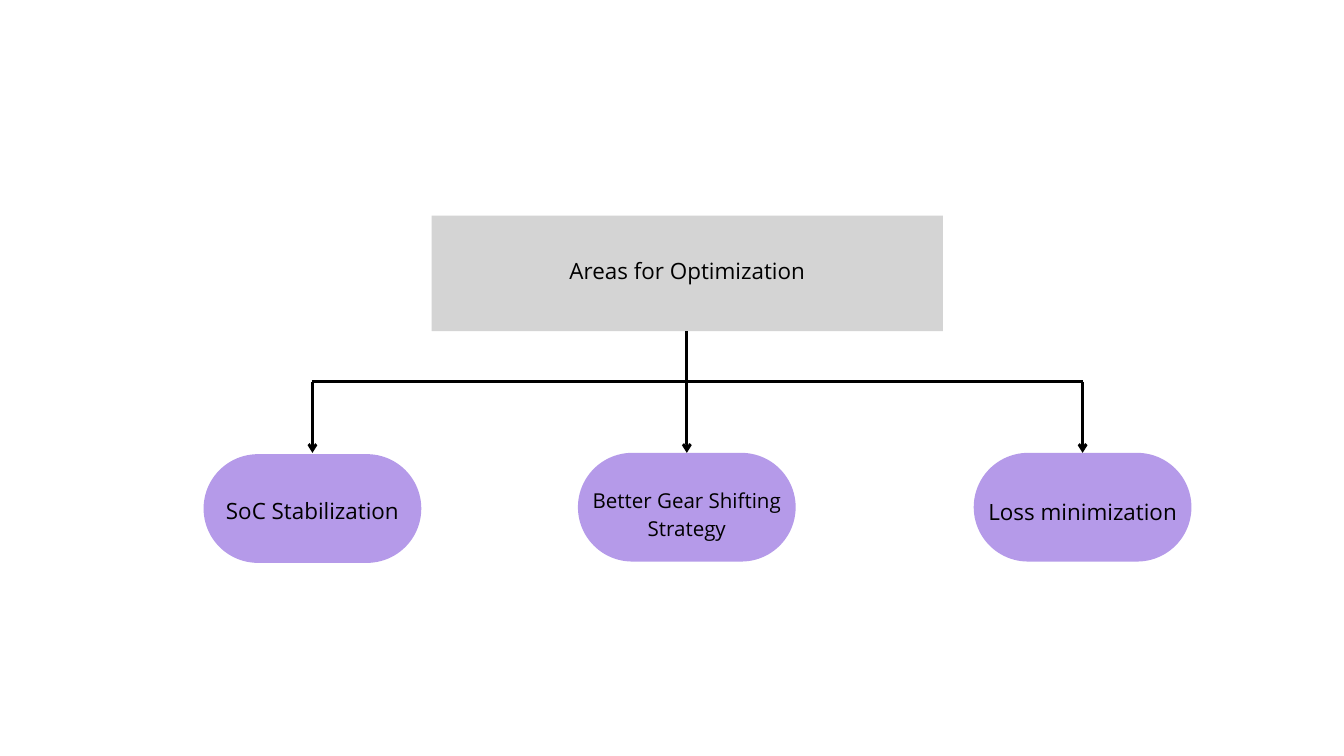
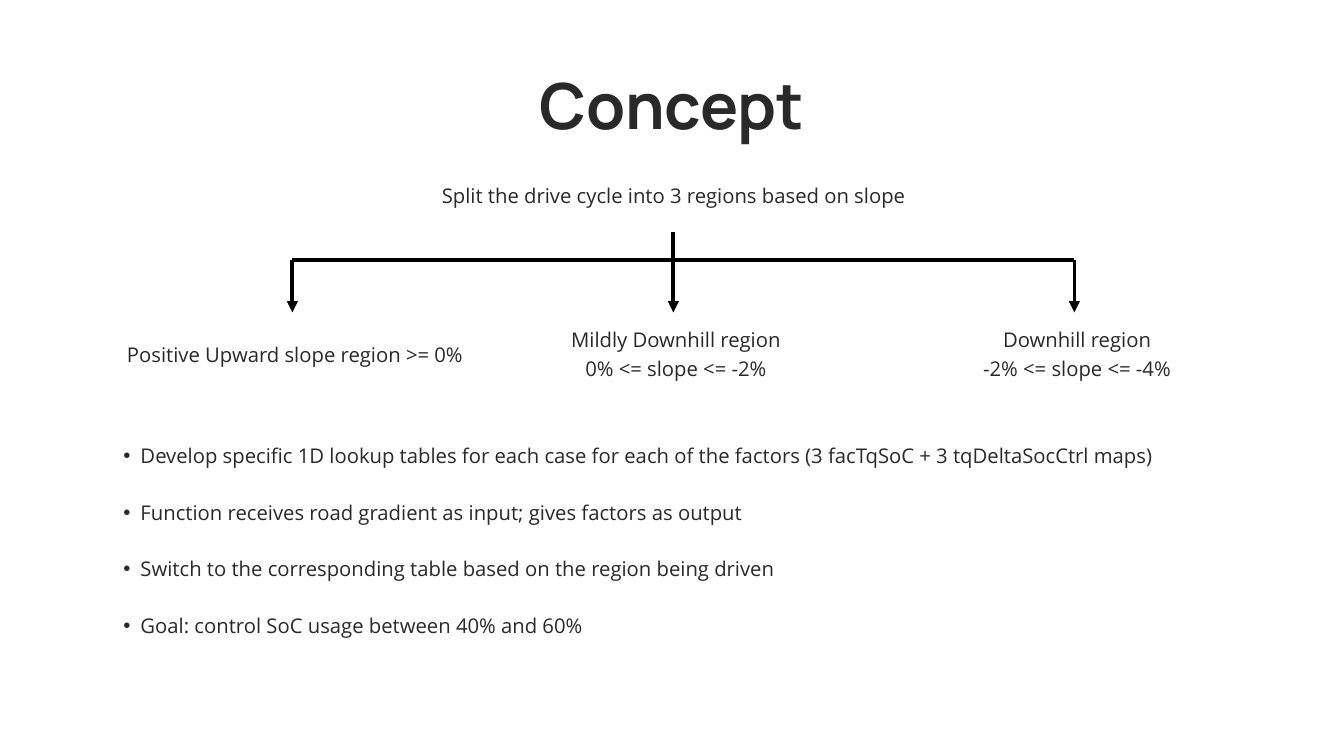
"""Builds two slides on optimization areas and the slope region concept."""
import pptx
import pptx.dml.color
import pptx.enum.shapes
import pptx.enum.text
import pptx.oxml
import pptx.oxml.ns
import pptx.util
from lxml import etree

Cm = pptx.util.Cm
Pt = pptx.util.Pt
ALIGN = pptx.enum.text.PP_ALIGN
ANCHOR = pptx.enum.text.MSO_ANCHOR

COLOURS = {
    "black": "000000",
    "ink": "292929",
    "grey": "D4D4D4",
    "purple": "B59AE9",
}
HEADING_FONT = "Manrope"
TEXT_FONT = "Open Sans"
TITLE_ONLY, TITLE_AND_CONTENT = 5, 1
PILL_WIDTH, PILL_HEIGHT = 8.23, 4.11
LABEL_WIDTH, LABEL_LINE = 13.4, 1.07


def colour(name):
    return pptx.dml.color.RGBColor.from_string(COLOURS[name])


def place(shape, left, top, width, height):
    shape.left, shape.top = Cm(left), Cm(top)
    shape.width, shape.height = Cm(width), Cm(height)


def fill_shape(shape, name):
    shape.fill.solid()
    shape.fill.fore_color.rgb = colour(name)
    shape.line.fill.background()


def write(shape, lines, size, leading, ink="ink", font=TEXT_FONT, bold=False,
          align=ALIGN.CENTER, anchor=ANCHOR.TOP, wrap=True, gap=0,
          margins=(0, 0, 0, 0), indent=None):
    frame = shape.text_frame
    frame.auto_size = pptx.enum.text.MSO_AUTO_SIZE.NONE
    frame.word_wrap = wrap
    frame.vertical_anchor = anchor
    (frame.margin_left, frame.margin_top,
     frame.margin_right, frame.margin_bottom) = map(Cm, margins)
    for number, line in enumerate(lines):
        para = frame.add_paragraph() if number else frame.paragraphs[0]
        para.text = line
        para.alignment = align
        para.line_spacing = Pt(leading)
        para.space_before = Pt(gap if number else 0)
        if indent:
            properties = para._p.get_or_add_pPr()
            properties.set("marL", str(Cm(indent)))
            properties.set("indent", str(-Cm(indent / 2)))
        para.font.name = font
        para.font.size = Pt(size)
        para.font.bold = bold
        para.font.color.rgb = colour(ink)


def add_label(slide, lines, left, top, width, height):
    box = slide.shapes.add_textbox(Cm(left), Cm(top), Cm(width), Cm(height))
    write(box, lines, 21.7, 30.3)


def add_pill(slide, text, centre, top, size, drop):
    pill = slide.shapes.add_shape(
        pptx.enum.shapes.MSO_SHAPE.ROUNDED_RECTANGLE,
        Cm(centre - PILL_WIDTH / 2), Cm(top), Cm(PILL_WIDTH), Cm(PILL_HEIGHT))
    pill.adjustments[0] = 0.5
    pill.shadow.inherit = False
    fill_shape(pill, "purple")
    write(pill, [text], size, size * 1.4, ink="black", anchor=ANCHOR.MIDDLE,
          wrap=False, margins=(0, drop, 0, 0))


def add_line(slide, start, end, weight, head=None):
    line = slide.shapes.add_connector(
        pptx.enum.shapes.MSO_CONNECTOR.STRAIGHT, *map(Cm, start + end))
    line.line.width = Pt(weight)
    line.line.color.rgb = colour("black")
    if head:
        tail = etree.SubElement(line.line._get_or_add_ln(),
                                pptx.oxml.ns.qn("a:tailEnd"))
        tail.set("type", head)
    etree.SubElement(line._element.spPr, pptx.oxml.ns.qn("a:effectLst"))


def add_branches(slide, columns, top, bar, tip, weight, head):
    trunk = columns[1]
    add_line(slide, (trunk, top), (trunk, bar), weight)
    for column in columns:
        if column != trunk:
            add_line(slide, (trunk, bar), (column, bar), weight)
        add_line(slide, (column, bar), (column, tip), weight, head)


def build_areas(deck):
    slide = deck.slides.add_slide(deck.slide_layouts[TITLE_ONLY])
    title = slide.shapes.title
    place(title, 16.31, 8.15, 19.33, 4.37)
    fill_shape(title, "grey")
    write(title, ["Areas for Optimization"], 24, 33.6, ink="black",
          anchor=ANCHOR.MIDDLE, margins=(0.15, 0.15, 0.15, 0.55))
    columns = (11.81, 25.96, 40.92)
    pills = (
        ("SoC Stabilization", 17.17, 24, 0),
        ("Better Gear Shifting\nStrategy", 17.12, 22, 0.38),
        ("Loss minimization", 17.12, 24, 0.13),
    )
    for centre, (text, top, size, drop) in zip(columns, pills):
        add_pill(slide, text, centre, top, size, drop)
    add_branches(slide, columns, 12.52, 14.43, 17.12, 3, "arrow")


def build_concept(deck):
    slide = deck.slides.add_slide(deck.slide_layouts[TITLE_AND_CONTENT])
    title, body = slide.shapes.title, slide.placeholders[1]
    place(title, 4.7, 2.97, 41.38, 2.51)
    write(title, ["Concept"], 68, 68, font=HEADING_FONT, bold=True)
    place(body, 4.01, 16.61, 42.75, 7.49)
    write(body, [
        "Develop specific 1D lookup tables for each case for each of the "
        "factors (3 facTqSoC + 3 tqDeltaSocCtrl maps)",
        "Function receives road gradient as input; gives factors as output",
        "Switch to the corresponding table based on the region being driven",
        "Goal: control SoC usage between 40% and 60%",
    ], 21.7, 30.3, align=ALIGN.JUSTIFY, gap=30.3, indent=1.3)
    add_label(slide, ["Split the drive cycle into 3 regions based on slope"],
              14.71, 6.76, 21.51, 2.03)
    columns = (11.05, 25.45, 40.61)
    regions = (
        ["Positive Upward slope region >= 0%"],
        ["Mildly Downhill region", "0% <= slope <= -2%"],
        ["Downhill region", "-2% <= slope <= -4%"],
    )
    for centre, lines in zip(columns, regions):
        height = LABEL_LINE * len(lines)
        add_label(slide, lines, centre + 0.1 - LABEL_WIDTH / 2,
                  13.31 - height / 2, LABEL_WIDTH, height)
    add_branches(slide, columns, 8.79, 9.83, 11.81, 4, "triangle")


def main():
    deck = pptx.Presentation()
    deck.slide_width, deck.slide_height = Cm(50.8), Cm(28.58)
    build_areas(deck)
    build_concept(deck)
    deck.save("out.pptx")


if __name__ == "__main__":
    main()
